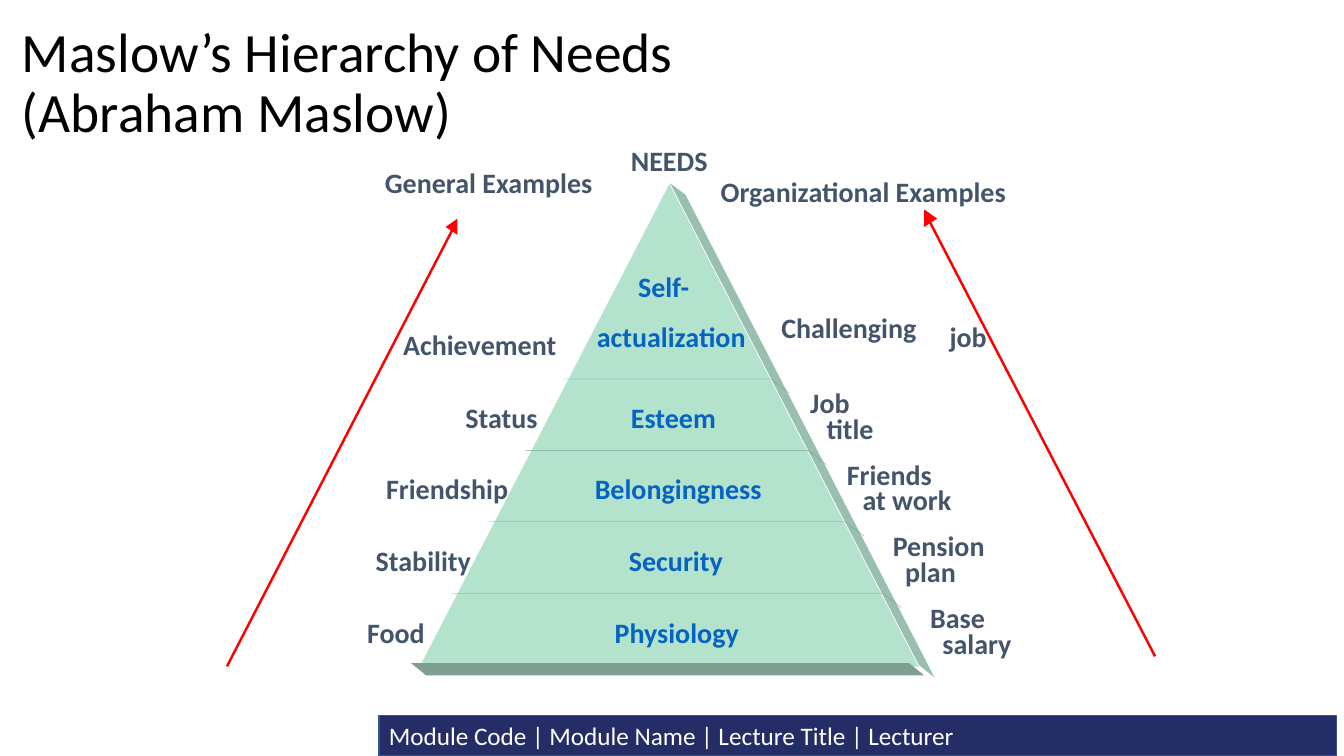
"""Build the Maslow's hierarchy of needs slide."""
from dataclasses import dataclass
from typing import Optional

from lxml import etree
from pptx import Presentation
from pptx.dml.color import RGBColor
from pptx.enum.shapes import MSO_CONNECTOR, MSO_SHAPE
from pptx.enum.text import MSO_ANCHOR, MSO_AUTO_SIZE, PP_ALIGN
from pptx.oxml.ns import qn
from pptx.slide import Slide
from pptx.text.text import _Paragraph
from pptx.util import Cm, Pt

STRAIGHT = MSO_CONNECTOR.STRAIGHT
RECTANGLE = MSO_SHAPE.RECTANGLE
MIDDLE = MSO_ANCHOR.MIDDLE
LEFT = PP_ALIGN.LEFT
FIXED_SIZE = MSO_AUTO_SIZE.NONE
GROW = MSO_AUTO_SIZE.SHAPE_TO_FIT_TEXT

BLACK = RGBColor(0x00, 0x00, 0x00)
WHITE = RGBColor(0xFF, 0xFF, 0xFF)
NAVY = RGBColor(0x25, 0x2D, 0x67)
NAVY_EDGE = RGBColor(0x32, 0x54, 0x91)
MINT = RGBColor(0xB3, 0xE2, 0xCD)
MINT_SIDE = RGBColor(0x99, 0xC0, 0xAE)
MINT_BASE = RGBColor(0x7E, 0x9E, 0x90)
RED = RGBColor(0xFF, 0x00, 0x00)
BLUE = RGBColor(0x05, 0x63, 0xC1)
SLATE = RGBColor(0x44, 0x54, 0x6A)

FONT = "Calibri"
LABEL_HEIGHT = 0.86
ROW_TOP = 10.08
ROW_PITCH = 1.81
UPPER_LINE = -0.37
LOWER_LINE = 0.28

Point = tuple[float, float]


@dataclass(frozen=True)
class Label:
    """A bold caption, measured in centimetres."""
    text: str
    left: float
    top: float
    width: float
    color: RGBColor = SLATE
    wrap: bool = False


@dataclass(frozen=True)
class Outline:
    """A freeform, measured in centimetres."""
    points: list[Point]
    fill: Optional[RGBColor] = None
    line: Optional[RGBColor] = None


@dataclass(frozen=True)
class Arrow:
    """A shaft with its triangular head, measured in centimetres."""
    start: Point
    end: Point
    head: list[Point]


@dataclass(frozen=True)
class Level:
    """The captions standing on one row of the pyramid."""
    need: Label
    general: Label
    upper: Label
    lower: Label


def row_label(row: int, text: str, left: float, width: float,
              shift: float = 0, color: RGBColor = SLATE) -> Label:
    """Place a caption on a pyramid row."""
    return Label(text, left, ROW_TOP + row * ROW_PITCH + shift, width, color)


def level(row: int, need: tuple, general: tuple, upper: tuple, lower: tuple) -> Level:
    """Place all captions of one pyramid row."""
    return Level(row_label(row, *need, color=BLUE), row_label(row, *general),
                 row_label(row, *upper, shift=UPPER_LINE),
                 row_label(row, *lower, shift=LOWER_LINE))


LEVELS = [
    level(0, ("Esteem", 15.9, 2.16), ("Status", 11.73, 1.83),
          ("Job", 20.42, 1.1), ("title", 20.83, 1.25)),
    level(1, ("Belongingness", 14.99, 4.24), ("Friendship", 9.73, 3.1),
          ("Friends", 21.34, 2.16), ("at work", 21.74, 2.26)),
    level(2, ("Security", 15.85, 2.39), ("Stability", 9.47, 2.41),
          ("Pension", 22.5, 2.34), ("plan", 22.81, 1.3)),
    level(3, ("Physiology", 15.49, 3.15), ("Food", 9.25, 1.47),
          ("Base", 23.44, 1.4), ("salary", 23.75, 1.75)),
]
LABELS = [
    Label("NEEDS", 15.9, 3.61, 1.96),
    Label("General Examples", 9.7, 4.17, 5.28),
    Label("Organizational Examples", 18.16, 4.39, 7.24),
    Label("Self-", 16.08, 6.78, 1.32, BLUE),
    Label("actualization", 15.04, 8.05, 3.78, BLUE),
    Label("Achievement", 10.16, 8.26, 3.89),
    Label("Challenging", 19.69, 7.82, 3.43),
    Label("job", 23.93, 8.05, 1.7, wrap=True),
]
PYRAMID = [
    Outline([(23.16, 16.76), (23.55, 17.07), (17.27, 4.9), (16.89, 4.62)], MINT_SIDE),
    Outline([(23.14, 16.79), (16.87, 4.65), (10.59, 16.79)], MINT, MINT),
    Outline([(10.36, 16.71), (10.74, 17.02), (23.29, 17.02), (22.91, 16.71)], MINT_BASE),
]
ARROWS = [
    Arrow((29.11, 16.54), (23.39, 5.51), [(23.29, 5.72), (23.29, 5.28), (23.62, 5.51)]),
    Arrow((5.72, 16.79), (11.4, 5.79), [(11.53, 5.92), (11.53, 5.51), (11.23, 5.72)]),
]


def divider(row: int) -> Outline:
    """Describe the line above a row, bent around the pyramid's side."""
    top, spread = 9.55 + 1.8 * row, 0.94 * row
    right = 19.43 + spread
    return Outline([(14.2 - spread, top), (right, top), (right + 0.46, top + 0.36)],
                   line=MINT_BASE)


def add_span(para: _Paragraph, text: str, size: float, color: RGBColor,
             bold: bool = False) -> None:
    """Append a formatted run."""
    span = para.add_run()
    span.text = text
    span.font.name = FONT
    span.font.size = Pt(size)
    span.font.bold = bold
    span.font.color.rgb = color


def add_title(page: Slide) -> None:
    """Fill and place the title placeholder."""
    title = page.shapes.title
    title.left, title.top, title.width, title.height = Cm(0.3), Cm(0.56), Cm(24.51), Cm(3.15)
    frame = title.text_frame
    frame.word_wrap = True
    frame.auto_size = FIXED_SIZE
    frame.vertical_anchor = MIDDLE
    para = frame.paragraphs[0]
    para.alignment = LEFT
    para.line_spacing = 0.9
    add_span(para, "Maslow’s Hierarchy of Needs", 39.6, BLACK)
    para.add_line_break()
    add_span(para, "(Abraham Maslow)", 39.6, BLACK)


def add_footer(page: Slide) -> None:
    """Draw the module bar."""
    bar = page.shapes.add_shape(RECTANGLE, Cm(9.55), Cm(18.03), Cm(24.13), Cm(1.02))
    bar.shadow.inherit = False
    bar.fill.solid()
    bar.fill.fore_color.rgb = NAVY
    bar.line.color.rgb = NAVY_EDGE
    bar.line.width = Pt(1)
    bar.text_frame.vertical_anchor = MIDDLE
    para = bar.text_frame.paragraphs[0]
    para.alignment = LEFT
    add_span(para, "Module Code | Module Name | Lecture Title | Lecturer", 18, WHITE)


def add_outline(page: Slide, outline: Outline) -> None:
    """Draw a filled polygon or an open line."""
    points = [(Cm(x), Cm(y)) for x, y in outline.points]
    builder = page.shapes.build_freeform(*points[0])
    builder.add_line_segments(points[1:], close=outline.fill is not None)
    shape = builder.convert_to_shape()
    shape.shadow.inherit = False
    if outline.fill is None:
        shape.fill.background()
    else:
        shape.fill.solid()
        shape.fill.fore_color.rgb = outline.fill
    if outline.line is None:
        shape.line.fill.background()
    else:
        shape.line.color.rgb = outline.line
        shape.line.width = Pt(0.25)


def add_arrow(page: Slide, arrow: Arrow) -> None:
    """Draw a red arrow."""
    add_outline(page, Outline(arrow.head, RED))
    ends = [Cm(value) for value in arrow.start + arrow.end]
    shaft = page.shapes.add_connector(STRAIGHT, *ends)
    shaft.line.color.rgb = RED
    shaft.line.width = Pt(1.75)
    etree.SubElement(shaft._element.spPr, qn("a:effectLst"))


def add_label(page: Slide, label: Label) -> None:
    """Draw a bold caption without margins."""
    box = page.shapes.add_textbox(Cm(label.left), Cm(label.top),
                                  Cm(label.width), Cm(LABEL_HEIGHT))
    frame = box.text_frame
    frame.margin_left = frame.margin_right = frame.margin_top = frame.margin_bottom = 0
    frame.word_wrap = label.wrap
    frame.auto_size = GROW
    add_span(frame.paragraphs[0], label.text, 20, label.color, bold=True)


def main() -> None:
    """Build and save the deck."""
    deck = Presentation()
    deck.slide_width, deck.slide_height = Cm(33.87), Cm(19.05)
    page = deck.slides.add_slide(deck.slide_layouts[5])
    add_footer(page)
    add_title(page)
    for outline in PYRAMID + [divider(row) for row in range(4)]:
        add_outline(page, outline)
    for arrow in ARROWS:
        add_arrow(page, arrow)
    for label in LABELS:
        add_label(page, label)
    for row in LEVELS:
        for label in (row.need, row.general, row.upper, row.lower):
            add_label(page, label)
    deck.save("out.pptx")


if __name__ == "__main__":
    main()
